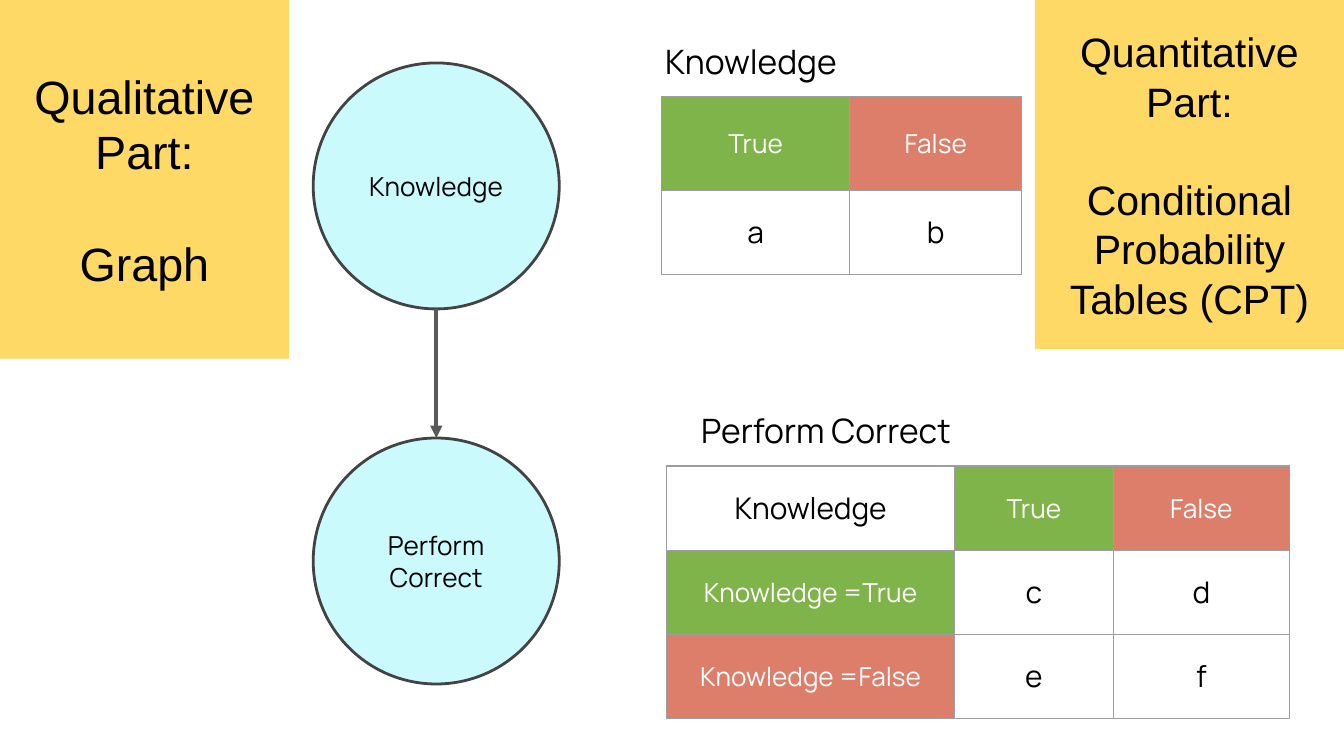
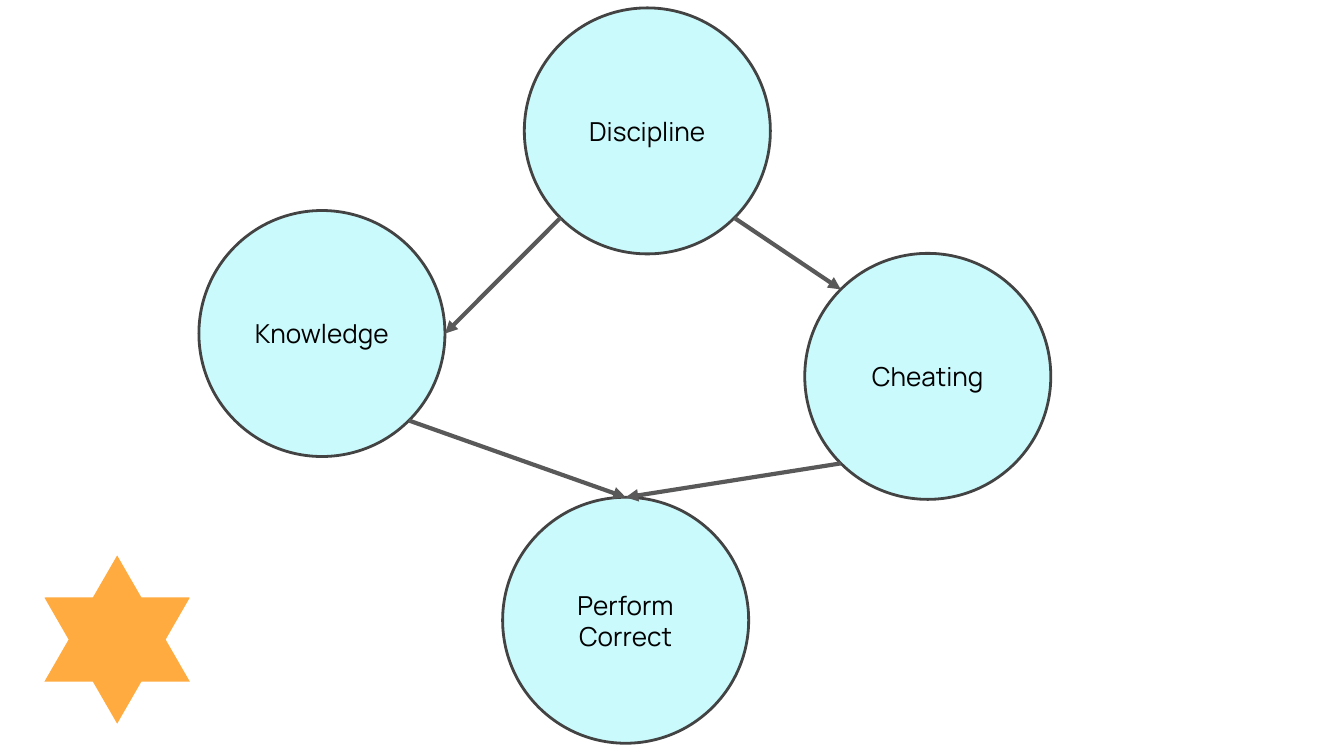
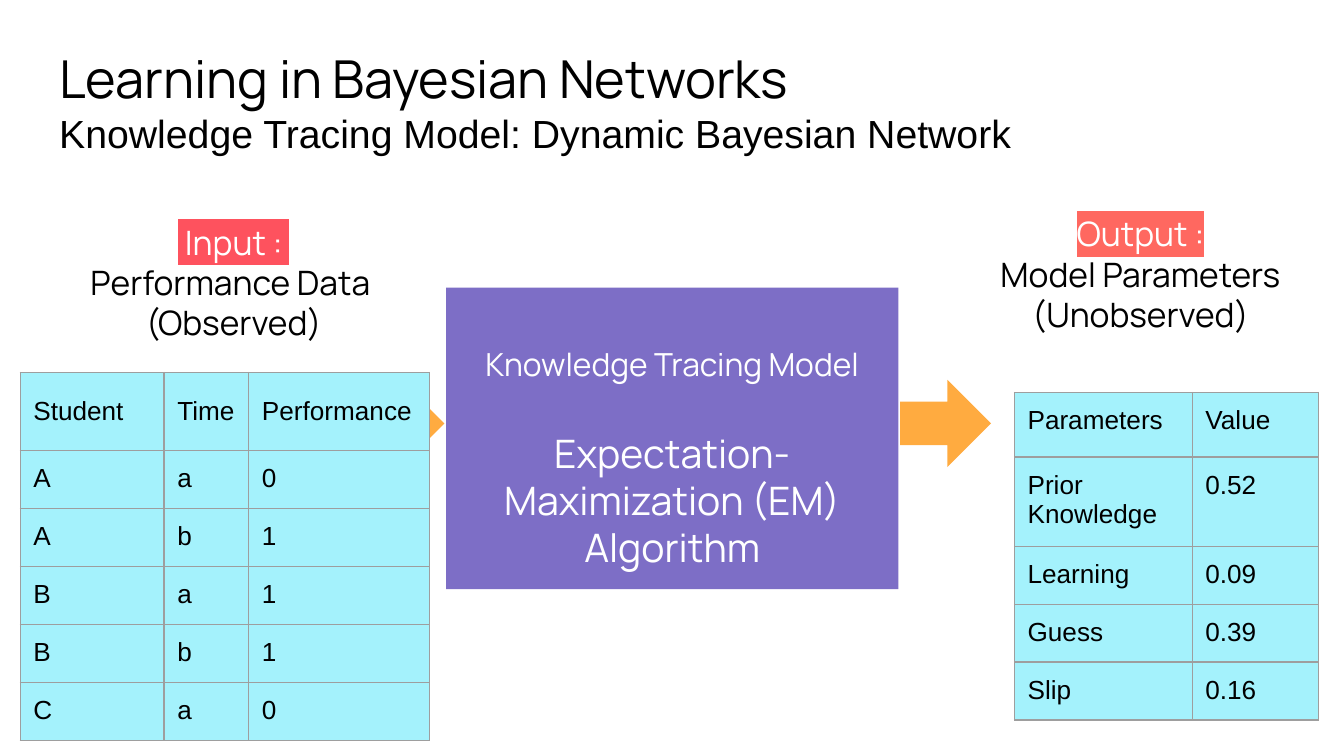
import math
from dataclasses import dataclass
from typing import Callable, Optional, Sequence

from lxml import etree
from pptx import Presentation
from pptx.dml.color import RGBColor
from pptx.enum import shapes, text
from pptx.oxml import ns
from pptx.util import Cm, Pt


@dataclass(frozen=True)
class Theme:
    black: str = "000000"
    white: str = "FFFFFF"
    node: str = "CAFAFC"
    node_line: str = "434343"
    arrow: str = "595959"
    yellow: str = "FFD966"
    orange: str = "FFAB40"
    purple: str = "7D6EC6"
    green: str = "7FB44A"
    red: str = "DD7E6B"
    cyan: str = "A4F2FC"
    grid: str = "9E9E9E"
    input_mark: str = "FE525E"
    output_mark: str = "FF6860"
    body_font: str = "Manrope"
    plain_font: str = "Arial"
    small: float = 14
    cell: float = 16
    model: float = 17
    label: float = 18
    subtitle: float = 21
    quantity: float = 22
    quality: float = 25
    title: float = 28


T = Theme()
DIAMETER = 4.65
INSET = 0.25
LINE = 1.2


@dataclass(frozen=True)
class Box:
    x: float
    y: float
    w: float
    h: float

    def lengths(self) -> tuple:
        return Cm(self.x), Cm(self.y), Cm(self.w), Cm(self.h)


@dataclass(frozen=True)
class Line:
    words: str
    size: float
    color: str = T.black
    font: str = T.body_font
    gap: float = 0
    mark: Optional[str] = None


@dataclass(frozen=True)
class Node:
    label: str
    x: float
    y: float

    def rim(self, degrees: float) -> tuple:
        radius = DIAMETER / 2
        angle = math.radians(degrees)
        return (Cm(self.x + radius + radius * math.cos(angle)),
                Cm(self.y + radius + radius * math.sin(angle)))


@dataclass(frozen=True)
class Edge:
    start: Node
    start_angle: float
    end: Node
    end_angle: float


@dataclass(frozen=True)
class CellStyle:
    size: float
    color: str
    font: str
    fill: Optional[str]
    align: text.PP_ALIGN
    anchor: text.MSO_ANCHOR


@dataclass(frozen=True)
class Grid:
    x: float
    y: float
    cols: Sequence[float]
    rows: Sequence[float]
    cells: Sequence[Sequence[str]]
    style: Callable[[str, int], CellStyle]


def rgb(color: str) -> RGBColor:
    return RGBColor.from_string(color)


def write(tf, lines: Sequence[Line], align=text.PP_ALIGN.CENTER,
          anchor=text.MSO_ANCHOR.MIDDLE, top: float = INSET) -> None:
    tf.word_wrap = True
    tf.vertical_anchor = anchor
    tf.margin_left = tf.margin_right = tf.margin_bottom = Cm(INSET)
    tf.margin_top = Cm(top)
    for i, line in enumerate(lines):
        p = tf.paragraphs[0] if i == 0 else tf.add_paragraph()
        p.alignment = align
        p.line_spacing = 1.0
        p.space_before = Pt(line.gap)
        r = p.add_run()
        r.text = line.words
        set_font(p, line.size, line.color, line.font)
        if line.mark:
            highlight = etree.SubElement(r._r.get_or_add_rPr(), ns.qn("a:highlight"))
            etree.SubElement(highlight, ns.qn("a:srgbClr"), val=line.mark)


def set_font(p, size: float, color: str, font: str) -> None:
    p.font.size = Pt(size)
    p.font.name = font
    p.font.color.rgb = rgb(color)


def add_shape(s, kind, box: Box, fill: str, outline: Optional[str] = None):
    sp = s.shapes.add_shape(kind, *box.lengths())
    sp.shadow.inherit = False
    sp.fill.solid()
    sp.fill.fore_color.rgb = rgb(fill)
    if outline:
        sp.line.color.rgb = rgb(outline)
        sp.line.width = Pt(1.5)
    else:
        sp.line.fill.background()
    return sp


def add_panel(s, box: Box, fill: str, lines: Sequence[Line], top: float = INSET) -> None:
    sp = add_shape(s, shapes.MSO_SHAPE.RECTANGLE, box, fill)
    write(sp.text_frame, lines, top=top)


def add_text(s, box: Box, lines: Sequence[Line], align=text.PP_ALIGN.LEFT) -> None:
    sp = s.shapes.add_textbox(*box.lengths())
    write(sp.text_frame, lines, align, text.MSO_ANCHOR.TOP)


def add_graph(s, nodes: Sequence[Node], edges: Sequence[Edge]) -> None:
    for node in nodes:
        sp = add_shape(s, shapes.MSO_SHAPE.OVAL, Box(node.x, node.y, DIAMETER, DIAMETER),
                       T.node, T.node_line)
        write(sp.text_frame, [Line(word, T.small) for word in node.label.split()])
    for edge in edges:
        cxn = s.shapes.add_connector(shapes.MSO_CONNECTOR.STRAIGHT,
                                     *edge.start.rim(edge.start_angle),
                                     *edge.end.rim(edge.end_angle))
        cxn.line.color.rgb = rgb(T.arrow)
        cxn.line.width = Pt(2.25)
        etree.SubElement(cxn.line._get_or_add_ln(), ns.qn("a:tailEnd"), type="triangle")
        etree.SubElement(cxn._element.spPr, ns.qn("a:effectLst"))


def add_borders(cell) -> None:
    tc_pr = cell._tc.get_or_add_tcPr()
    for side in ("lnL", "lnR", "lnT", "lnB"):
        ln = etree.SubElement(tc_pr, ns.qn(f"a:{side}"), w=str(Pt(0.75)))
        fill = etree.SubElement(ln, ns.qn("a:solidFill"))
        etree.SubElement(fill, ns.qn("a:srgbClr"), val=T.grid)


def add_grid(s, grid: Grid) -> None:
    box = Box(grid.x, grid.y, sum(grid.cols), sum(grid.rows))
    table = s.shapes.add_table(len(grid.rows), len(grid.cols), *box.lengths()).table
    table.first_row = table.horz_banding = False
    for column, width in zip(table.columns, grid.cols):
        column.width = Cm(width)
    for i, (row, height) in enumerate(zip(table.rows, grid.rows)):
        row.height = Cm(height)
        for cell, words in zip(row.cells, grid.cells[i]):
            style = grid.style(words, i)
            cell.margin_left = cell.margin_right = Cm(INSET)
            cell.margin_top = cell.margin_bottom = Cm(INSET)
            cell.vertical_anchor = style.anchor
            add_borders(cell)
            if style.fill:
                cell.fill.solid()
                cell.fill.fore_color.rgb = rgb(style.fill)
            else:
                cell.fill.background()
            p = cell.text_frame.paragraphs[0]
            p.alignment = style.align
            p.add_run().text = words
            set_font(p, style.size, style.color, style.font)


def probability_style(words: str, row: int) -> CellStyle:
    fill = T.green if words.endswith("True") else T.red if words.endswith("False") else None
    return CellStyle(T.small if fill else T.cell, T.white if fill else T.black,
                     T.body_font, fill, text.PP_ALIGN.CENTER, text.MSO_ANCHOR.MIDDLE)


def parameter_style(words: str, row: int) -> CellStyle:
    return CellStyle(T.small, T.black, T.plain_font, T.cyan,
                     text.PP_ALIGN.LEFT, text.MSO_ANCHOR.TOP)


def performance_style(words: str, row: int) -> CellStyle:
    anchor = text.MSO_ANCHOR.MIDDLE if row == 0 else text.MSO_ANCHOR.TOP
    return CellStyle(T.small, T.black, T.plain_font, T.cyan, text.PP_ALIGN.LEFT, anchor)


def build_parts(s) -> None:
    knowledge = Node("Knowledge", 5.92, 1.19)
    perform = Node("Perform Correct", 5.92, 8.28)
    add_graph(s, [knowledge, perform], [Edge(knowledge, 90, perform, -90)])
    add_grid(s, Grid(12.6, 8.81, [5.44, 3, 3.33], [1.59] * 3,
                     [["Knowledge", "True", "False"],
                      ["Knowledge =True", "c", "d"],
                      ["Knowledge =False", "e", "f"]], probability_style))
    add_text(s, Box(13, 7.49, 7.09, 1), [Line("Perform Correct", T.label)])
    add_grid(s, Grid(12.5, 1.83, [3.56, 3.25], [1.77, 1.59],
                     [["True", "False"], ["a", "b"]], probability_style))
    add_text(s, Box(12.32, 0.53, 5.46, 1), [Line("Knowledge", T.label)])
    panels = [
        (Box(0, 0, 5.46, 6.78), T.quality, "Qualitative Part:", "Graph"),
        (Box(19.56, 0, 5.84, 6.6), T.quantity, "Quantitative Part:",
         "Conditional Probability Tables (CPT)"),
    ]
    for box, size, part, content in panels:
        add_panel(s, box, T.yellow, [
            Line(part, size, font=T.plain_font),
            Line(content, size, font=T.plain_font, gap=LINE * size)])


def build_network(s) -> None:
    knowledge = Node("Knowledge", 3.76, 3.98)
    perform = Node("Perform Correct", 9.5, 9.4)
    cheating = Node("Cheating", 15.21, 4.79)
    discipline = Node("Discipline", 9.91, 0.15)
    add_graph(s, [knowledge, perform, cheating, discipline], [
        Edge(knowledge, 45, perform, -90),
        Edge(cheating, 135, perform, -90),
        Edge(discipline, 135, knowledge, 0),
        Edge(discipline, 45, cheating, -135)])
    add_shape(s, shapes.MSO_SHAPE.STAR_6_POINT, Box(0.84, 10.5, 2.75, 3.18), T.orange)


def build_learning(s) -> None:
    add_panel(s, Box(8.43, 5.44, 8.55, 5.7), T.purple, [
        Line("Knowledge Tracing Model", T.model, T.white),
        Line("Expectation-", T.subtitle, T.white, gap=LINE * T.subtitle),
        Line("Maximization (EM)", T.subtitle, T.white),
        Line("Algorithm", T.subtitle, T.white)], top=0.97)
    captions = [
        (Box(0.71, 3.94, 7.42, 3.07), " Input : ", T.input_mark,
         "Performance Data ", "(Observed)"),
        (Box(18.19, 3.78, 6.73, 1.65), "Output :", T.output_mark,
         "Model Parameters", "(Unobserved)"),
    ]
    for box, role, mark, content, status in captions:
        add_text(s, box, [Line(role, T.label, T.white, mark=mark),
                          Line(content, T.label), Line(status, T.label)],
                 text.PP_ALIGN.CENTER)
    add_text(s, Box(0.87, 0.63, 23.67, 1.65), [
        Line("Learning in Bayesian Networks", T.title),
        Line("Knowledge Tracing Model: Dynamic Bayesian Network", T.subtitle,
             font=T.plain_font)])
    for x in (6.68, 17.01):
        add_shape(s, shapes.MSO_SHAPE.RIGHT_ARROW, Box(x, 7.18, 1.72, 1.65), T.orange)
    add_grid(s, Grid(0.38, 7.04, [2.72, 1.6, 3.42], [1.48] + [1.06] * 5,
                     [["Student", "Time", "Performance"],
                      ["A", "a", "0"], ["A", "b", "1"],
                      ["B", "a", "1"], ["B", "b", "1"],
                      ["C", "a", "0"]], performance_style))
    add_grid(s, Grid(19.17, 7.42, [3.36, 2.39], [1.22, 1.61] + [1.06] * 3,
                     [["Parameters", "Value"], ["Prior Knowledge", "0.52"],
                      ["Learning", "0.09"], ["Guess", "0.39"],
                      ["Slip", "0.16"]], parameter_style))


def main() -> None:
    prs = Presentation()
    prs.slide_width, prs.slide_height = Cm(25.4), Cm(14.29)
    for build in (build_parts, build_network, build_learning):
        build(prs.slides.add_slide(prs.slide_layouts[6]))
    prs.save("out.pptx")


if __name__ == "__main__":
    main()
